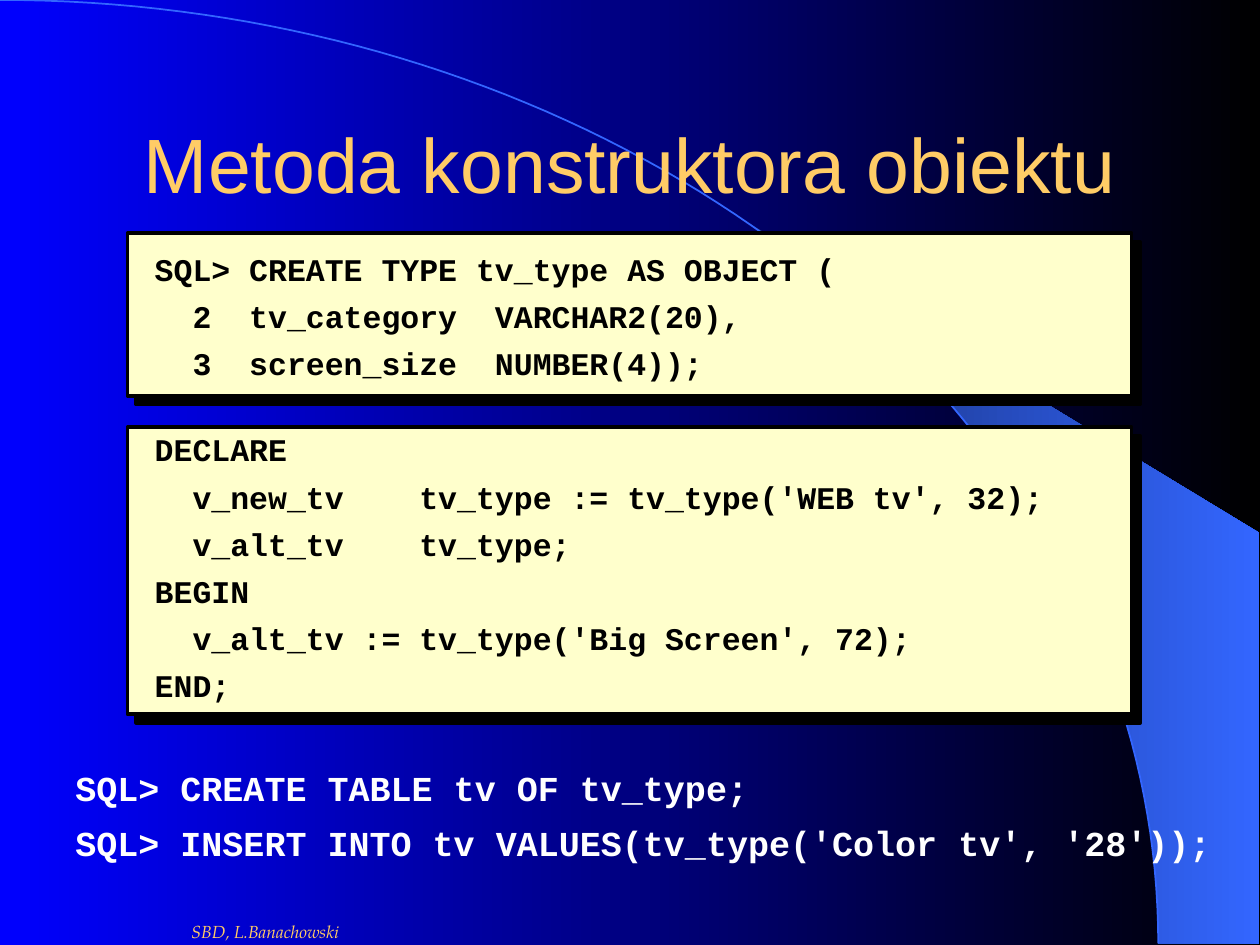
from math import asin, cos, pi, sin

from lxml.etree import SubElement
from pptx import Presentation
from pptx.dml.color import RGBColor
from pptx.enum.shapes import MSO_SHAPE as Shape
from pptx.enum.text import MSO_ANCHOR as Anchor, PP_ALIGN as Align
from pptx.oxml.ns import qn
from pptx.util import Cm, Pt

WIDTH, HEIGHT = 25.4, 19.05
GOLD, BLUE, CREAM, BLACK, WHITE = "FFCC66", "3366FF", "FFFFCC", "000000", "FFFFFF"
CODE_FONT = "Courier New"

TYPE_CODE = [
    "SQL> CREATE TYPE tv_type AS OBJECT (",
    "  2  tv_category  VARCHAR2(20),",
    "  3  screen_size  NUMBER(4));",
]
BLOCK_CODE = [
    "DECLARE",
    "  v_new_tv    tv_type := tv_type('WEB tv', 32);",
    "  v_alt_tv    tv_type;",
    "BEGIN",
    "  v_alt_tv := tv_type('Big Screen', 72);",
    "END;",
]
TABLE_COMMANDS = [
    "SQL> CREATE TABLE tv OF tv_type;",
    "SQL> INSERT INTO tv VALUES(tv_type('Color tv', '28'));",
]


def color(value):
    return RGBColor.from_string(value)


def add_text(slide, box, lines, font, size, ink, bold=False, italic=False,
             align=Align.LEFT, anchor=Anchor.TOP, line_spacing=1.0, gap=0):
    frame = slide.shapes.add_textbox(*map(Cm, box)).text_frame
    frame.word_wrap = True
    frame.vertical_anchor = anchor
    for index, line in enumerate(lines):
        paragraph = frame.paragraphs[0] if index == 0 else frame.add_paragraph()
        paragraph.alignment = align
        paragraph.line_spacing = line_spacing
        if index:
            paragraph.space_before = Pt(gap)
        run = paragraph.add_run()
        run.text = line
        run.font.name = font
        run.font.size = Pt(size)
        run.font.bold = bold
        run.font.italic = italic
        run.font.color.rgb = color(ink)


def fill_gradient(fill, start, end):
    fill.gradient()
    fill.gradient_angle = 0
    for stop, value in zip(fill.gradient_stops, (start, end)):
        stop.color.rgb = color(value)


def add_outline(slide, points, close):
    points = [(Cm(x), Cm(y)) for x, y in points]
    builder = slide.shapes.build_freeform(*points[0])
    builder.add_line_segments(points[1:], close=close)
    outline = builder.convert_to_shape()
    outline.shadow.inherit = False
    return outline


def arc_points(box, start_x, steps):
    left, top, width, height = box
    start = asin(start_x / width)
    angles = [start + (pi / 2 - start) * step / steps for step in range(steps + 1)]
    return [(left + width * sin(a), top + height * (1 - cos(a))) for a in angles]


def add_backdrop(slide, box):
    fill_gradient(slide.background.fill, "0000FF", BLACK)
    left, top, width, height = box
    arc_box = (left, top, 0.92 * width, height)
    right = left + width
    edge = [(right, top + height), (right, top + 10.74)]
    wedge = add_outline(slide, arc_points(arc_box, 14.96, 40) + edge, True)
    fill_gradient(wedge.fill, "182F76", BLUE)
    wedge.line.fill.background()
    arc = add_outline(slide, arc_points(arc_box, 0, 80), False)
    arc.fill.background()
    arc.line.color.rgb = color(BLUE)
    arc.line.width = Pt(1)


def add_hard_shadow(shape):
    shape.shadow.inherit = False
    effects = shape.element.spPr.find(qn("a:effectLst"))
    shadow = SubElement(effects, qn("a:outerShdw"), dist=str(Pt(7.1)),
                        dir="2700000", algn="ctr", rotWithShape="0")
    SubElement(shadow, qn("a:srgbClr"), val=BLACK)


def add_code_panel(slide, box, lines, text_offset):
    left, top, width, height = box
    panel = slide.shapes.add_shape(Shape.RECTANGLE, *map(Cm, box))
    panel.fill.solid()
    panel.fill.fore_color.rgb = color(CREAM)
    panel.line.color.rgb = color(BLACK)
    panel.line.width = Pt(2)
    add_hard_shadow(panel)
    add_text(slide, (left + 0.3, top + text_offset, width, height), lines,
             CODE_FONT, 18, BLACK, bold=True, line_spacing=1.25)


def add_title(slide, box):
    add_text(slide, box, ["Metoda konstruktora obiektu"], "Arial", 44, GOLD,
             align=Align.CENTER, anchor=Anchor.MIDDLE)


def add_commands(slide, box):
    left, top, width, height = box
    indent = 1.27
    add_text(slide, (left + indent, top, width - indent, height), TABLE_COMMANDS,
             CODE_FONT, 20, WHITE, bold=True, gap=7.5)


def add_footer(slide, box):
    add_text(slide, box, ["SBD, L.Banachowski"], "TeX Gyre Pagella", 10, GOLD,
             italic=True)


def main():
    deck = Presentation()
    deck.slide_width, deck.slide_height = Cm(WIDTH), Cm(HEIGHT)
    slide = deck.slides.add_slide(deck.slide_layouts[6])
    add_backdrop(slide, (0, 0, 25.38, 19.02))
    add_footer(slide, (3.61, 18.44, 14.6, 0.6))
    add_code_panel(slide, (2.57, 4.7, 20.24, 3.28), TYPE_CODE, 0.02)
    add_code_panel(slide, (2.57, 8.61, 20.24, 5.79), BLOCK_CODE, -0.25)
    add_title(slide, (1.91, 1.7, 21.59, 3.18))
    add_commands(slide, (0, 15.32, 24.97, 2.1))
    deck.save("out.pptx")


if __name__ == "__main__":
    main()
